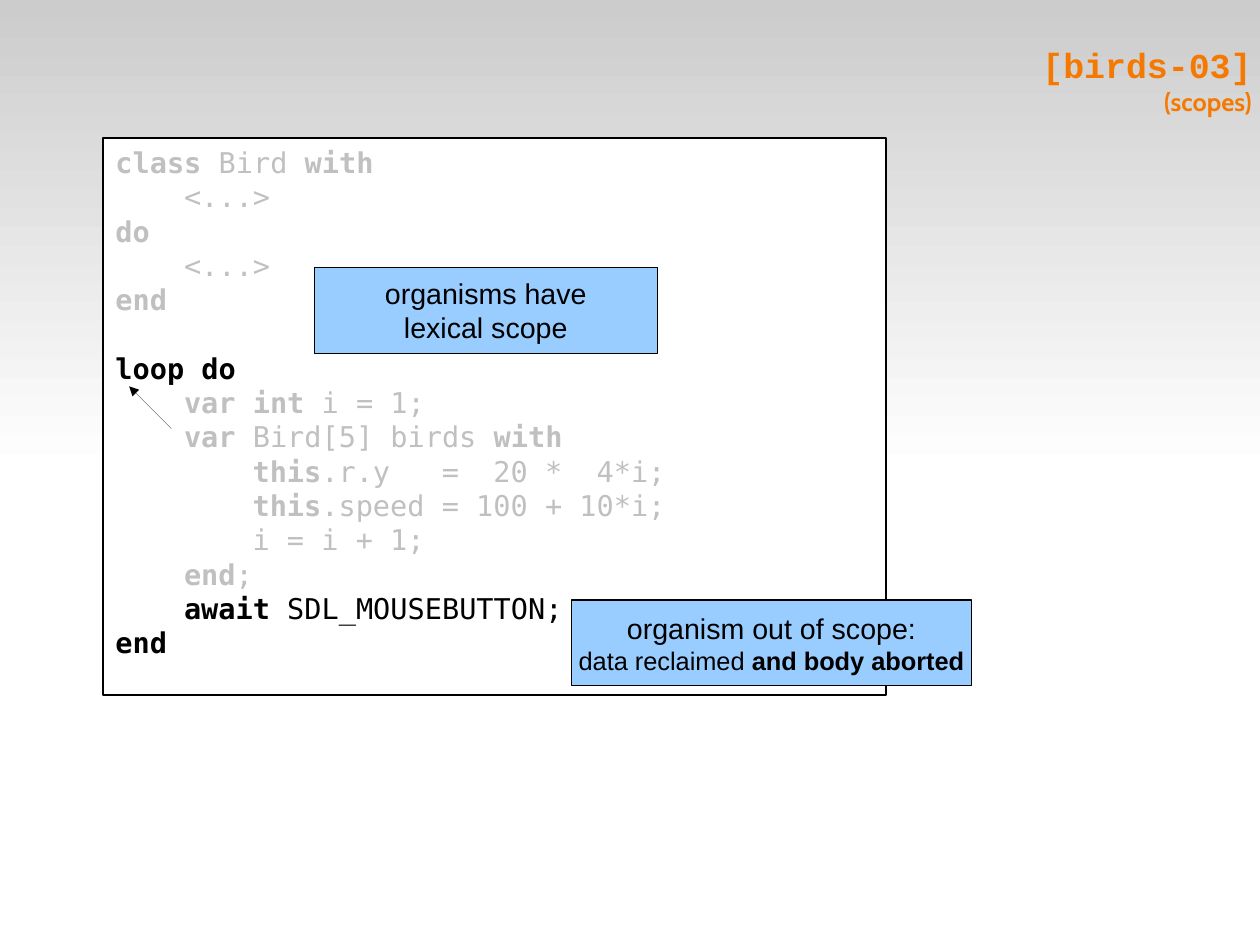
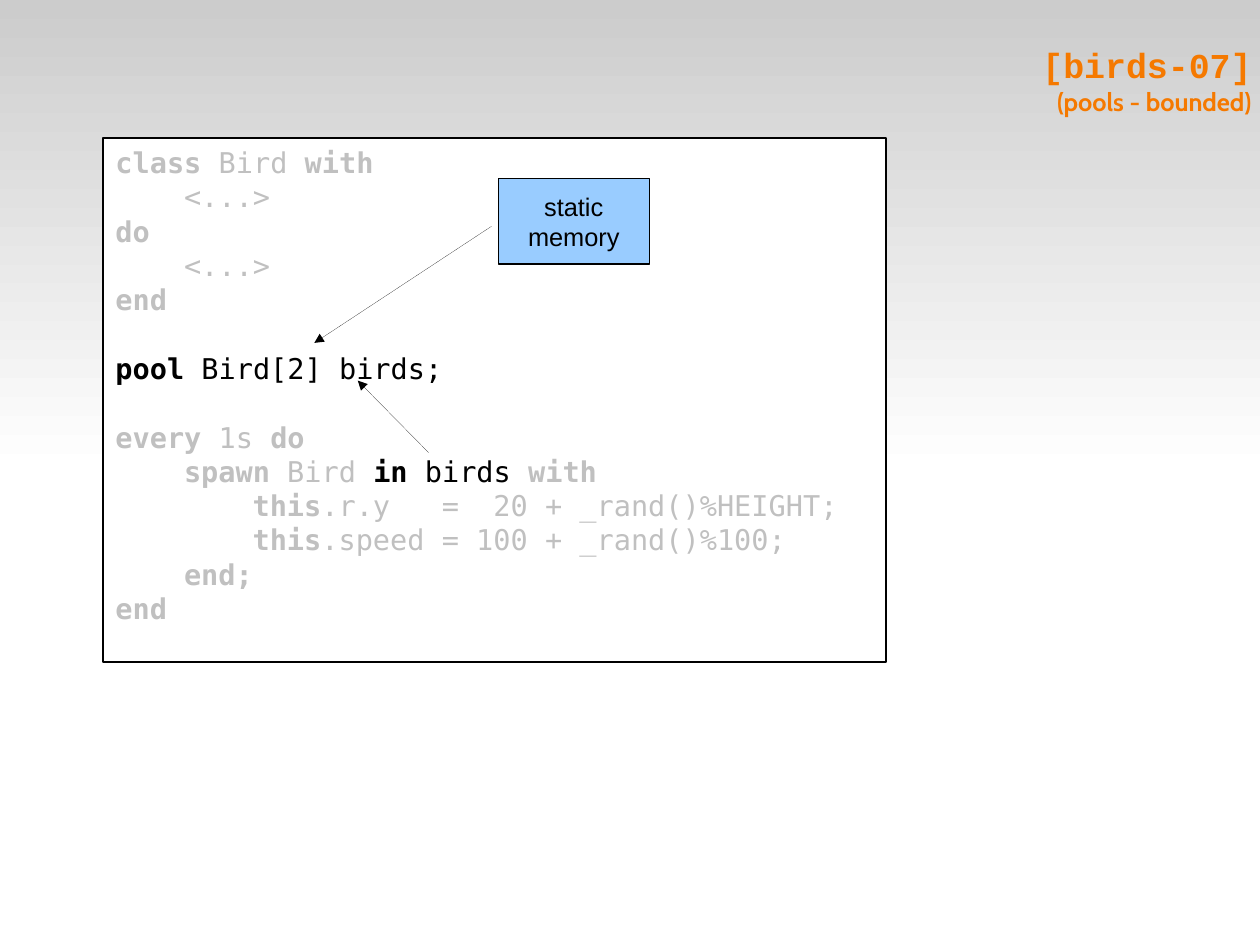
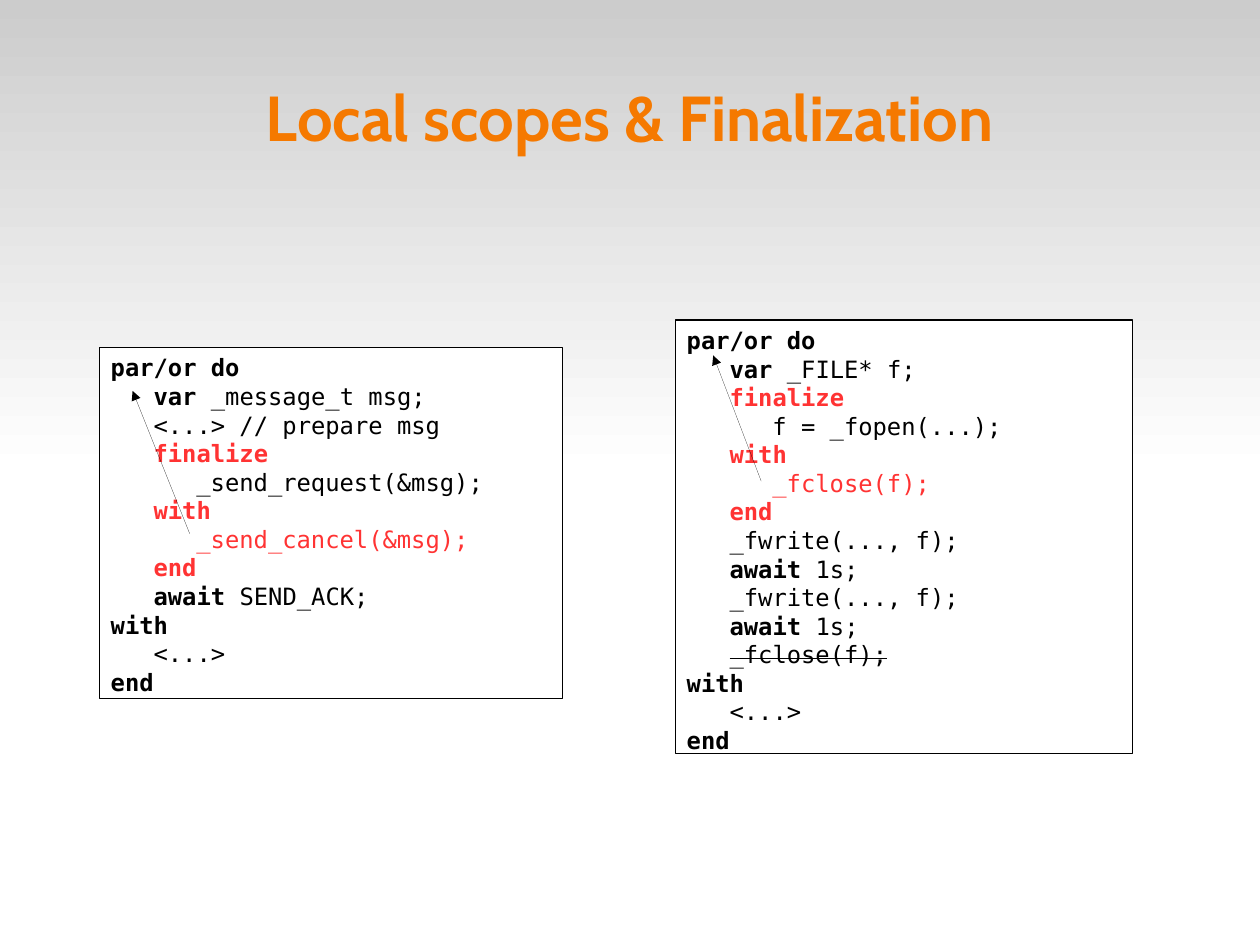
from dataclasses import dataclass

from lxml.etree import SubElement
from pptx import Presentation
from pptx.dml.color import RGBColor
from pptx.enum.shapes import MSO_CONNECTOR, MSO_SHAPE
from pptx.enum.text import MSO_ANCHOR, PP_ALIGN
from pptx.oxml.ns import qn
from pptx.util import Inches, Pt


# Theme shared by all slides
@dataclass(frozen=True)
class Theme:
    black: str = "000000"
    white: str = "FFFFFF"
    muted: str = "C0C0C0"
    accent: str = "F57900"
    warning: str = "FF3333"
    note: str = "99CCFF"
    band: str = "CCCCCC"
    code_font: str = "DejaVu Sans Mono"
    note_font: str = "Arial"
    title_font: str = "Cabin"
    tag_font: str = "Courier New"
    title_size: int = 40
    tag_size: int = 22
    code_size: int = 18
    small_code_size: int = 15
    note_size: int = 18
    small_size: int = 16
    char_ratio: float = 0.6    # advance of one code character, in ems
    line_ratio: float = 1.2    # height of one code line, in ems
    frame_line: float = 1.45
    hairline: float = 0


T = Theme()
SLIDE_W, SLIDE_H = 28 / 2.54, 21 / 2.54    # a 28 by 21 cm page, in inches

# Code markup: ` toggles bold, | toggles the highlight colour, ~ toggles strike.
# Each line is (indent in characters, text); None is a one-line gap.
BIRD_CLASS = [
    (0, "`class` Bird `with`"),
    (4, "<...>"),
    (0, "`do`"),
    (4, "<...>"),
    (0, "`end`"),
    None,
]
SCOPES = BIRD_CLASS + [
    (0, "|`loop do`|"),
    (4, "`var int` i = 1;"),
    (4, "`var `Bird[5] birds `with`"),
    (8, "`this`.r.y   =  20 *  4*i;"),
    (8, "`this`.speed = 100 + 10*i;"),
    (8, "i = i + 1;"),
    (4, "`end`;"),
    (4, "|`await `SDL_MOUSEBUTTON;|"),
    (0, "|`end`|"),
]
POOLS = BIRD_CLASS + [
    (0, "|`pool` Bird[2] birds;|"),
    None,
    (0, "`every `1s` do`"),
    (4, "`spawn `Bird |`in `birds|` with`"),
    (8, "`this`.r.y   =  20 + _rand()%HEIGHT;"),
    (8, "`this`.speed = 100 + _rand()%100;"),
    (4, "`end;`"),
    (0, "`end`"),
]
SEND_REQUEST = [
    (0, "`par/or do`"),
    (3, "`var `_message_t msg;"),
    (3, "<...> // prepare msg"),
    (3, "|`finalize`|"),
    (6, "_send_request(&msg);"),
    (3, "|`with`|"),
    (6, "|_send_cancel(&msg);|"),
    (3, "|`end`|"),
    (3, "`await` SEND_ACK;"),
    (0, "`with`"),
    (3, "<...>"),
    (0, "`end`"),
]
WRITE_FILE = [
    (0, "`par/or do`"),
    (3, "`var `_FILE* f;"),
    (3, "|`finalize`|"),
    (6, "f = _fopen(...);"),
    (3, "|`with`|"),
    (6, "|_fclose(f);|"),
    (3, "|`end`|"),
    (3, "_fwrite(..., f);"),
    (3, "`await` 1s;"),
    (3, "_fwrite(..., f);"),
    (3, "`await `1s;"),
    (3, "~_fclose(f);~"),
    (0, "`with`"),
    (3, "<...>"),
    (0, "`end`"),
]


# Text
def rgb(value):
    return RGBColor.from_string(value)


def set_all(obj, values):
    for name, value in values.items():
        setattr(obj, name, value)


def add_run(p, text, font, size, color, bold=False, strike=False):
    r = p.add_run()
    r.text = text
    set_all(r.font, {"name": font, "size": Pt(size), "bold": bold})
    r.font.color.rgb = rgb(color)
    if strike:
        r._r.get_or_add_rPr().set("strike", "sngStrike")


def set_frame(tf, side, top, anchor, wrap=True):
    set_all(tf, {"margin_left": Inches(side), "margin_right": Inches(side),
                 "margin_top": Inches(top), "margin_bottom": Inches(top),
                 "vertical_anchor": anchor, "word_wrap": wrap})


def split_markup(text):
    """Yield (piece, bold, highlight, strike) for a marked-up code line."""
    state = dict.fromkeys("`|~", False)
    piece = ""
    for char in text:
        if char not in state:
            piece += char
            continue
        if piece:
            yield piece, *state.values()
        piece = ""
        state[char] = not state[char]
    if piece:
        yield piece, *state.values()


# Elements
def add_box(slide, at, fill, line_width):
    sp = slide.shapes.add_shape(MSO_SHAPE.RECTANGLE, *map(Inches, at))
    sp.shadow.inherit = False
    sp.fill.solid()
    sp.fill.fore_color.rgb = rgb(fill)
    sp.line.color.rgb = rgb(T.black)
    sp.line.width = Pt(line_width)
    return sp


def add_code(slide, at, lines, size, base, highlight, line_width, margins):
    tf = add_box(slide, at, T.white, line_width).text_frame
    set_frame(tf, *margins, MSO_ANCHOR.TOP)
    p, gap = tf.paragraphs[0], 0
    for i, line in enumerate(lines):
        if line is None:
            gap = size * T.line_ratio
            continue
        if i:
            p = tf.add_paragraph()
        indent, text = line
        set_all(p, {"alignment": PP_ALIGN.LEFT, "space_before": Pt(gap)})
        p._p.get_or_add_pPr().set("marL", str(Pt(indent * size * T.char_ratio)))
        gap = 0
        for piece, bold, marked, strike in split_markup(text):
            add_run(p, piece, T.code_font, size, highlight if marked else base,
                    bold, strike)


def add_note(slide, at, lines):
    """Blue note; each line is a list of (text, size, bold)."""
    tf = add_box(slide, at, T.note, T.hairline).text_frame
    set_frame(tf, 0.1, 0.05, MSO_ANCHOR.MIDDLE, wrap=False)
    for i, line in enumerate(lines):
        p = tf.add_paragraph() if i else tf.paragraphs[0]
        p.alignment = PP_ALIGN.CENTER
        for text, size, bold in line:
            add_run(p, text, T.note_font, size, T.black, bold)


def add_arrow(slide, start, end):
    cx = slide.shapes.add_connector(MSO_CONNECTOR.STRAIGHT,
                                    *map(Inches, start + end))
    # The theme style would override the hairline width
    cx.element.remove(cx.element.find(qn("p:style")))
    cx.line.color.rgb = rgb(T.black)
    cx.line.width = Pt(T.hairline)
    SubElement(cx.get_or_add_ln(), qn("a:tailEnd"), type="triangle")
    SubElement(cx.element.spPr, qn("a:effectLst"))


def add_title(slide, at, lines, align):
    tf = slide.shapes.add_textbox(*map(Inches, at)).text_frame
    set_frame(tf, 0, 0, MSO_ANCHOR.MIDDLE)
    p = tf.paragraphs[0]
    p.alignment = align
    for i, (text, font, size) in enumerate(lines):
        if i:
            p.add_line_break()
        add_run(p, text, font, size, T.accent, bold=True)


def add_tag_title(slide, tag, topic):
    add_title(slide, (1.03, 0.01, 9.92, 1.38),
              [(tag, T.tag_font, T.tag_size),
               (topic, T.title_font, T.small_size)], PP_ALIGN.RIGHT)


def add_bird_code(slide, lines, height):
    add_code(slide, (0.9, 1.21, 6.85, height), lines, T.code_size,
             T.muted, T.black, T.frame_line, (0.11, 0.06))


def add_final_code(slide, at, lines):
    add_code(slide, at, lines, T.small_code_size,
             T.black, T.warning, T.hairline, (0.1, 0.05))


def add_layout_band(slide):
    """Put the grey fade on the layout, so that every slide shows it."""
    sp = add_box(slide, (0, 0, SLIDE_W, SLIDE_H / 2), T.white, T.hairline)
    sp.line.fill.background()
    sp.fill.gradient()
    sp.fill.gradient_angle = 270
    for stop, color, position in zip(sp.fill.gradient_stops,
                                     (T.band, T.white), (0, 1)):
        stop.color.rgb = rgb(color)
        stop.position = position
    slide.slide_layout.shapes.element.append(sp.element)


# Slides
def build_scopes(slide):
    add_bird_code(slide, SCOPES, 4.87)
    add_note(slide, (2.75, 2.34, 3, 0.75),
             [[("organisms have", T.note_size, False)],
              [("lexical scope", T.note_size, False)]])
    add_arrow(slide, (1.5, 3.75), (1.13, 3.38))
    add_note(slide, (5, 5.25, 3.5, 0.75),
             [[("organism out of scope:", T.note_size, False)],
              [("data reclaimed ", T.small_size, False),
               ("and body aborted", T.small_size, True)]])
    add_tag_title(slide, "[birds-03]", "(scopes)")


def build_pools(slide):
    add_bird_code(slide, POOLS, 4.58)
    add_arrow(slide, (3.75, 3.96), (3.13, 3.33))
    add_tag_title(slide, "[birds-07]", "(pools - bounded)")
    add_note(slide, (4.36, 1.56, 1.32, 0.75),
             [[("static", T.small_size, False)],
              [("memory", T.small_size, False)]])
    add_arrow(slide, (4.3, 1.98), (2.75, 3))


def build_finalization(slide):
    add_title(slide, (0.55, 0.33, 9.92, 1.38),
              [("Local scopes & Finalization", T.title_font, T.title_size)],
              PP_ALIGN.CENTER)
    add_final_code(slide, (0.87, 3.04, 4.05, 3.07), SEND_REQUEST)
    add_final_code(slide, (5.91, 2.8, 4, 3.79), WRITE_FILE)
    add_arrow(slide, (1.66, 4.67), (1.16, 3.42))
    add_arrow(slide, (6.66, 4.21), (6.24, 3.11))


def main():
    prs = Presentation()
    prs.slide_width = Inches(SLIDE_W)
    prs.slide_height = Inches(SLIDE_H)
    blank = prs.slide_layouts[6]
    builders = (build_scopes, build_pools, build_finalization)
    slides = [prs.slides.add_slide(blank) for _ in builders]
    add_layout_band(slides[0])
    for build, slide in zip(builders, slides):
        build(slide)
    prs.save("out.pptx")


main()
